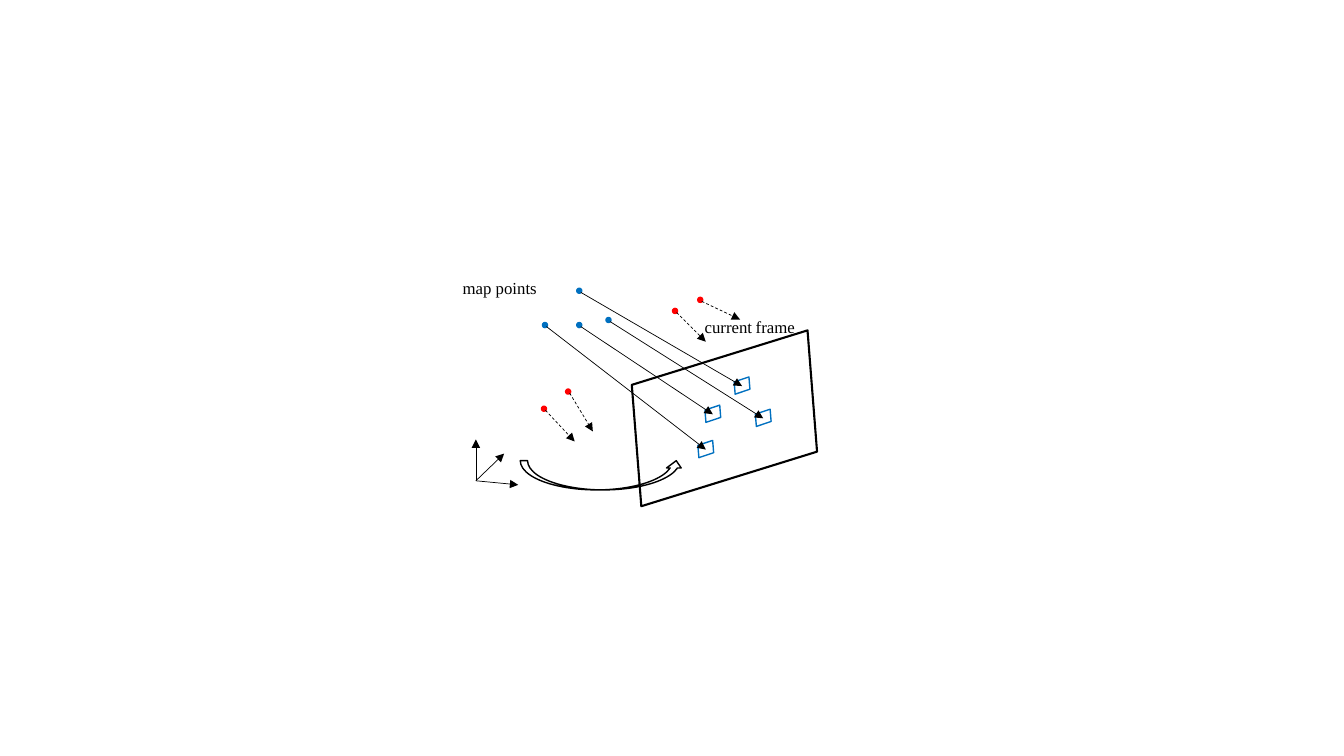
from pptx import Presentation
from pptx.dml.color import RGBColor
from pptx.enum.dml import MSO_LINE
from pptx.enum.shapes import MSO_CONNECTOR, MSO_SHAPE
from pptx.enum.text import MSO_AUTO_SIZE
from pptx.oxml.ns import qn
from pptx.util import Inches, Pt
from lxml import etree

BLACK = RGBColor(0, 0, 0)
BLUE = RGBColor(0x00, 0x70, 0xC0)
RED = RGBColor(0xFF, 0, 0)
OVAL = MSO_SHAPE.OVAL
PLANE = MSO_SHAPE.PARALLELOGRAM
CURVE = MSO_SHAPE.CURVED_UP_ARROW
LINE = MSO_CONNECTOR.STRAIGHT
DASH = MSO_LINE.DASH
FIT = MSO_AUTO_SIZE.SHAPE_TO_FIT_TEXT
FONT = "Times New Roman"
CELL = 0.1
DOT = 0.5
ORIGIN = (47.2, 47.7)
AXES = [(47.2, 43.6), (50, 45), (51.4, 48.1)]
SEEN = [
    ((53.8, 32), (69.2, 43.8)),
    ((57.2, 28.6), (72.8, 37.5)),
    ((60.1, 31.5), (74.9, 40.7)),
    ((57.2, 32), (69.9, 40.3)),
]
MISSED = [
    ((56.1, 38.6), (58.8, 42.8)),
    ((53.7, 40.3), (57, 43.8)),
    ((66.7, 30.6), (70, 33.9)),
    ((69.2, 29.5), (73.4, 31.7)),
]


def grid(*cells):
    """Turn grid cells into lengths."""
    return [Inches(cell * CELL) for cell in cells]


def shift(spot, step):
    """Move a spot by the same step across and down."""
    return spot[0] + step, spot[1] + step


def shape(slide, kind, box, color, width, fill=None):
    """Draw an outlined preset shape."""
    item = slide.shapes.add_shape(kind, *grid(*box))
    item.shadow.inherit = False
    if fill is None:
        item.fill.background()
    else:
        item.fill.solid()
        item.fill.fore_color.rgb = fill
    item.line.color.rgb = color
    item.line.width = Pt(width)
    return item


def plane(slide, box, color, width):
    """Draw a mirrored, turned parallelogram."""
    item = shape(slide, PLANE, box, color, width)
    item.rotation = 265.5
    item._element.spPr.get_or_add_xfrm().set("flipH", "1")


def dot(slide, spot, color):
    """Draw a map point."""
    shape(slide, OVAL, (*spot, DOT, DOT), color, 1, color)


def arrow(slide, start, end, dash=None):
    """Draw a thin arrow."""
    item = slide.shapes.add_connector(LINE, *grid(*start, *end))
    item.line.color.rgb = BLACK
    item.line.width = Pt(0.5)
    if dash is not None:
        item.line.dash_style = dash
    line = item.line._get_or_add_ln()
    etree.SubElement(line, qn("a:tailEnd")).set("type", "triangle")
    etree.SubElement(item._element.spPr, qn("a:effectLst"))


def label(slide, box, parts):
    """Write a label from sized parts."""
    frame = slide.shapes.add_textbox(*grid(*box)).text_frame
    frame.word_wrap = False
    frame.auto_size = FIT
    para = frame.paragraphs[0]
    para.font.name = FONT
    para.font.color.rgb = BLACK
    for text, size in parts:
        run = para.add_run()
        run.text = text
        run.font.size = Pt(size)


def main():
    """Build the slide."""
    deck = Presentation()
    deck.slide_width = Inches(13.33)
    deck.slide_height = Inches(7.5)
    slide = deck.slides.add_slide(deck.slide_layouts[6])
    plane(slide, (63.8, 32.6, 16.1, 17.8), BLACK, 1.5)
    label(slide, (68.9, 30.9, 11.1, 3), [("current", 12), (" ", 10), ("frame", 12)])
    shape(slide, CURVE, (51.6, 45.7, 16.2, 2.9), BLACK, 1)
    for tip in AXES:
        arrow(slide, ORIGIN, tip)
    for spot, patch in SEEN:
        dot(slide, spot, BLUE)
        plane(slide, (*patch, 1.6, 1.5), BLUE, 1)
        arrow(slide, shift(spot, 0.4), shift(patch, 0.8))
    for spot, tip in MISSED:
        dot(slide, spot, RED)
        arrow(slide, shift(spot, 0.4), tip, DASH)
    label(slide, (44.9, 27.1, 9.5, 3), [("map points", 12)])
    deck.save("out.pptx")


if __name__ == "__main__":
    main()
